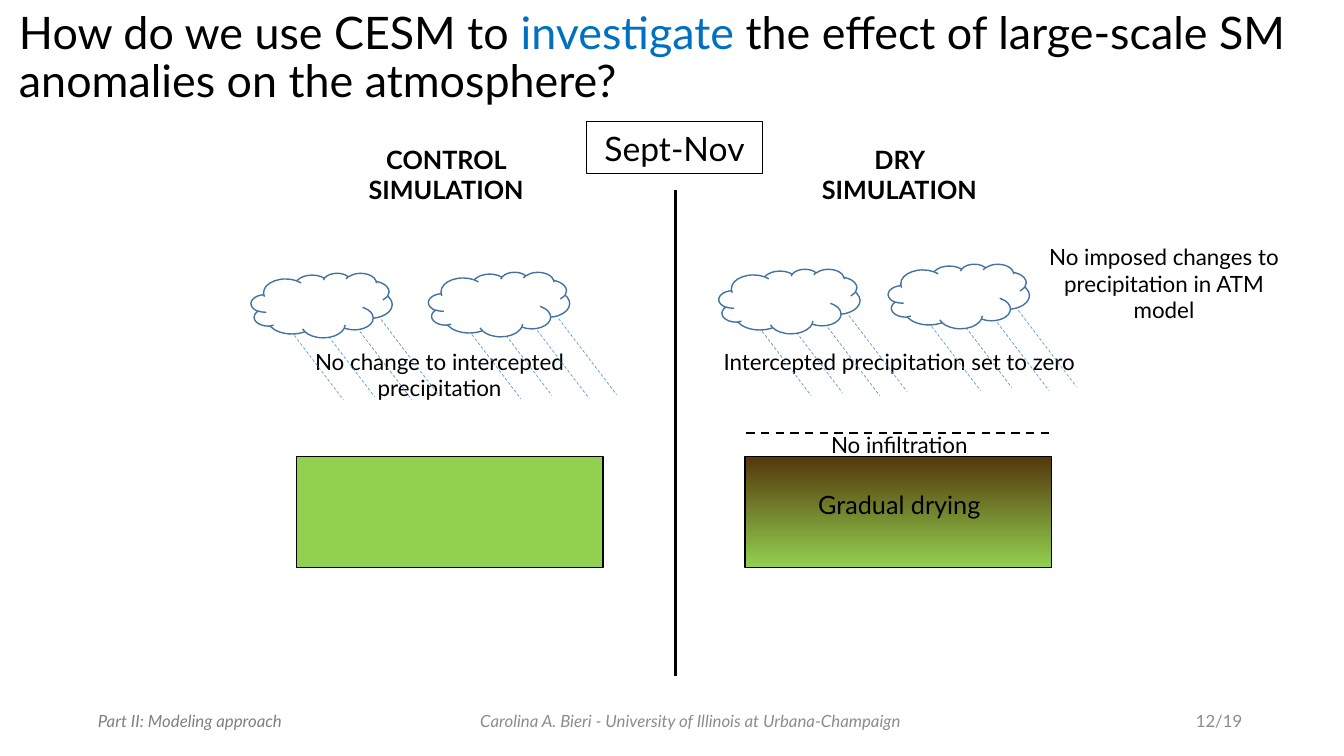
from collections import namedtuple

from lxml.etree import SubElement
from pptx import Presentation
from pptx.dml.color import RGBColor as RGB
from pptx.enum.dml import MSO_LINE
from pptx.enum.shapes import MSO_CONNECTOR as LINK, MSO_SHAPE as SHAPE
from pptx.enum.text import MSO_ANCHOR as ANCHOR, PP_ALIGN as ALIGN
from pptx.oxml.ns import qn
from pptx.util import Inches, Pt


class Theme:
    font = "Lato"
    ink, accent = RGB(0, 0, 0), RGB(0x00, 0x70, 0xC0)
    grass, dry_soil = RGB(0x92, 0xD0, 0x50), RGB(0x55, 0x37, 0x0B)
    cloud, cloud_edge, rain = RGB(255, 255, 255), RGB(0x43, 0x73, 0x9E), RGB(0x5B, 0x9B, 0xD5)
    section, footer = RGB(0x80, 0x80, 0x80), RGB(0x8C, 0x8C, 0x8C)
    title_size, season_size, heading_size, note_size, footer_size = 32, 24, 18, 16, 12


CELL = Inches(0.1)  # the slide is a grid of 133.3 columns by 75 rows
COLUMNS, ROWS = 133.3, 75


class Box(namedtuple("Box", "left top width height")):
    def inner(self, left, top, width, height):
        return Box(self.left + left, self.top + top, width, height)

    def emu(self):
        return [round(cells * CELL) for cells in self]


def write(frame, runs, size, align=ALIGN.CENTER, bold=None, italic=None):
    """Fill a frame with one paragraph of (text, colour) runs."""
    paragraph = frame.paragraphs[0]
    paragraph.alignment = align
    for text, color in runs:
        run = paragraph.add_run()
        run.text = text
        run.font.name, run.font.size = Theme.font, Pt(size)
        run.font.bold, run.font.italic = bold, italic
        run.font.color.rgb = color
    return paragraph


def add_label(slide, box, text, size, color=Theme.ink, wrap=True, anchor=ANCHOR.TOP, **style):
    frame = slide.shapes.add_textbox(*box.emu()).text_frame
    frame.word_wrap, frame.vertical_anchor = wrap, anchor
    return write(frame, [(text, color)], size, **style)


def add_outlined(shapes, kind, box, edge=Theme.ink, width=1, fill=None):
    shape = shapes.add_shape(kind, *box.emu())
    shape.shadow.inherit = False
    shape.line.color.rgb, shape.line.width = edge, Pt(width)
    if fill is None:
        shape.fill.background()
    else:
        shape.fill.solid()
        shape.fill.fore_color.rgb = fill
    return shape


def add_stroke(shapes, box, width, color=Theme.ink, dashed=False):
    """Draw a line from the top left to the bottom right of the box."""
    left, top, across, down = box.emu()
    stroke = shapes.add_connector(LINK.STRAIGHT, left, top, left + across, top + down)
    stroke.line.color.rgb, stroke.line.width = color, Pt(width)
    if dashed:
        stroke.line.dash_style = MSO_LINE.DASH
    SubElement(stroke._element.spPr, qn("a:effectLst"))


def add_rain_cloud(slide, box):
    group = slide.shapes.add_group_shape()
    for left, top in ((3.4, 5), (6.5, 4.7), (10.2, 5), (12.9, 4.6)):
        add_stroke(group.shapes, box.inner(left, top, 5.75, 7.55), 0.5, Theme.rain, dashed=True)
    add_outlined(group.shapes, SHAPE.CLOUD, box, Theme.cloud_edge, fill=Theme.cloud)


def add_title(slide, box):
    frame = slide.shapes.add_textbox(*box.emu()).text_frame
    frame.word_wrap, frame.vertical_anchor = True, ANCHOR.MIDDLE
    runs = [("How do we use CESM to ", Theme.ink), ("investigate ", Theme.accent),
            ("the effect of large-scale SM anomalies on the atmosphere?", Theme.ink)]
    write(frame, runs, Theme.title_size, ALIGN.LEFT).line_spacing = 0.9


def add_simulation(slide, box, heading, heading_span, note, note_span, wrap, clouds):
    """Place heading, precipitation note, rain clouds and soil; return the soil."""
    (heading_left, heading_width), (note_left, note_width) = heading_span, note_span
    add_label(slide, box.inner(heading_left, 0, heading_width, 7.1), heading,
              Theme.heading_size, bold=True)
    add_label(slide, box.inner(note_left, 20.2, note_width, 6.4), note, Theme.note_size, wrap=wrap)
    for left, top in clouds:
        add_rain_cloud(slide, box.inner(left, top, 14, 6.4))
    return add_outlined(slide.shapes, SHAPE.RECTANGLE, box.inner(7.4, 31.5, 30.4, 11),
                        fill=Theme.grass)


def add_control(slide, box):
    add_simulation(slide, box, "CONTROL SIMULATION", (10.9, 22.7),
                   "No change to intercepted precipitation", (8, 27.2), True,
                   [(2.9, 13.3), (20.5, 13.2)])


def add_dry(slide, box):
    soil = add_simulation(slide, box, "DRY SIMULATION", (13.9, 17.6),
                          "Intercepted precipitation set to zero", (4, 37.4), False,
                          [(4.8, 12.9), (21.6, 12.4)])
    soil.fill.gradient()
    soil.fill.gradient_angle = 90
    for stop, color in zip(soil.fill.gradient_stops, (Theme.grass, Theme.dry_soil)):
        stop.color.rgb = color
    add_label(slide, box.inner(13.9, 28.5, 17.6, 3.7), "No infiltration", Theme.note_size)
    add_label(slide, box.inner(13.4, 34.3, 18.6, 4), "Gradual drying", Theme.heading_size, wrap=False)
    add_label(slide, box.inner(35.5, 9.8, 26.9, 9.1),
              "No imposed changes to precipitation in ATM model", Theme.note_size)
    add_stroke(slide.shapes, box.inner(7.5, 29.2, 30.4, 0), 1.5, dashed=True)


def add_divider(slide, box):
    season = add_outlined(slide.shapes, SHAPE.RECTANGLE, box.inner(0, 0, box.width, 5.1), width=0.75)
    write(season.text_frame, [("Sept-Nov", Theme.ink)], Theme.season_size)
    add_stroke(slide.shapes, box.inner(8.8, 6.8, 0, box.height - 6.8), 2.25)


def add_footer(slide, box):
    add_label(slide, box.inner(3.9, 0.5, 29.9, 3), "Part II: Modeling approach",
              Theme.footer_size, Theme.section, italic=True)
    add_label(slide, box.inner(44.2, 0, 48.6, box.height),
              "Carolina A. Bieri - University of Illinois at Urbana-Champaign",
              Theme.footer_size, Theme.footer, anchor=ANCHOR.MIDDLE, italic=True)
    add_label(slide, box.inner(94.2, 0, 30, box.height), "12/19", Theme.footer_size,
              Theme.footer, anchor=ANCHOR.MIDDLE, align=ALIGN.RIGHT)


def main():
    deck = Presentation()
    deck.slide_width, deck.slide_height = round(COLUMNS * CELL), ROWS * CELL
    slide = deck.slides.add_slide(deck.slide_layouts[6])
    add_title(slide, Box(0.9, -1.4, COLUMNS - 0.9, 14.5))
    add_control(slide, Box(22, 13.8, 44.5, 42.5))
    add_dry(slide, Box(66.5, 13.8, 62.4, 42.5))
    add_divider(slide, Box(58.2, 12.1, 17.4, 55))
    add_footer(slide, Box(0, 69.5, COLUMNS, 4))
    deck.save("out.pptx")


if __name__ == "__main__":
    main()
